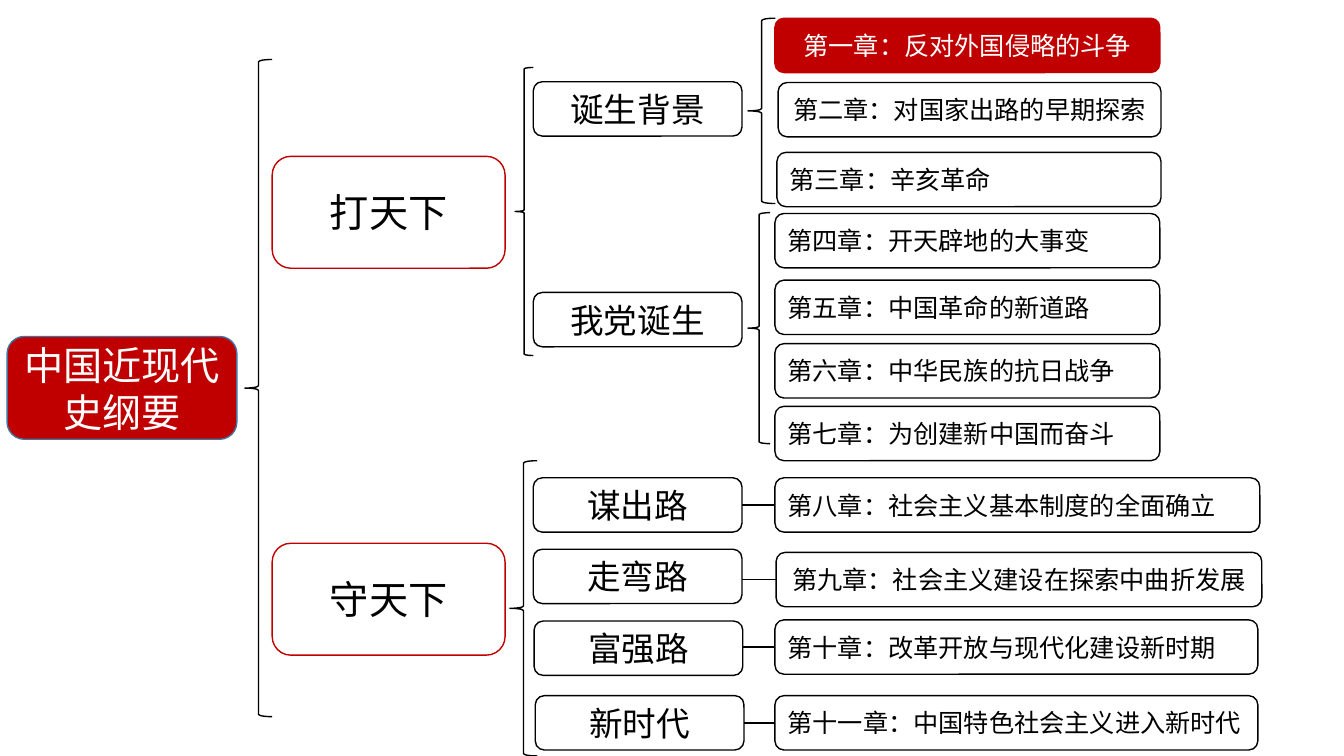
"""Draw the chapter tree of a modern Chinese history course."""
from dataclasses import dataclass

from lxml import etree
from pptx import Presentation
from pptx import util as u
from pptx.dml.color import RGBColor
from pptx.enum import shapes, text
from pptx.oxml.ns import qn
from pptx.shapes.autoshape import Shape
from pptx.slide import Slide

RED = RGBColor(0xC0, 0x00, 0x00)
WHITE = RGBColor(0xFF, 0xFF, 0xFF)
BLACK = RGBColor(0x00, 0x00, 0x00)
BLUE = RGBColor(0x43, 0x73, 0x9E)
FONT = "Noto Sans CJK SC"
CENTER, LEFT = text.PP_ALIGN.CENTER, text.PP_ALIGN.LEFT
ROW_HEIGHT = 1.37


@dataclass(frozen=True)
class Topic:
    """A rounded box of the tree, in centimetres."""
    label: str
    left: float
    top: float
    width: float
    height: float = ROW_HEIGHT
    size: int = 18
    align: text.PP_ALIGN = LEFT
    fill: RGBColor = WHITE
    border: RGBColor = BLACK
    ink: RGBColor = BLACK


@dataclass(frozen=True)
class Brace:
    """A left brace, in centimetres."""
    left: float
    top: float
    width: float
    height: float


def part(label: str, top: float) -> Topic:
    """Describe one of the two main parts."""
    return Topic(label, 6.86, top, 5.87, 2.82, 28, CENTER, border=RED)


def stage(label: str, top: float, left: float = 13.44) -> Topic:
    """Describe a stage within a part."""
    return Topic(label, left, top, 5.26, size=24, align=CENTER)


COURSE = Topic("中国近现代史纲要", 0.18, 8.48, 5.79, 2.59, 28, CENTER, RED, BLUE, WHITE)
PARTS = [part("打天下", 3.94), part("守天下", 13.69)]
EARLY_STAGES = [stage("诞生背景", 2.06), stage("我党诞生", 7.37)]
LATE_STAGES = [
    stage("谋出路", 12.04),
    stage("走弯路", 13.84),
    stage("富强路", 15.65, 13.46),
    stage("新时代", 17.53, 13.49),
]
EARLY_CHAPTERS = [
    Topic("第一章：反对外国侵略的斗争", 19.53, 0.46, 9.7, align=CENTER,
          fill=RED, border=RED, ink=WHITE),
    Topic("第二章：对国家出路的早期探索", 19.61, 2.08, 9.65, align=CENTER),
    Topic("第三章：辛亥革命", 19.58, 3.84, 9.68),
    Topic("第四章：开天辟地的大事变", 19.53, 5.38, 9.7),
    Topic("第五章：中国革命的新道路", 19.53, 7.06, 9.7),
    Topic("第六章：中华民族的抗日战争", 19.53, 8.66, 9.7),
    Topic("第七章：为创建新中国而奋斗", 19.53, 10.24, 9.7),
]
LATE_CHAPTERS = [
    Topic("第八章：社会主义基本制度的全面确立", 19.53, 12.04, 12.22),
    Topic("第九章：社会主义建设在探索中曲折发展", 19.56, 13.92, 12.24, align=CENTER),
    Topic("第十章：改革开放与现代化建设新时期", 19.53, 15.62, 12.17),
    Topic("第十一章：中国特色社会主义进入新时代", 19.53, 17.53, 12.17),
]
BRACES = [
    Brace(6.17, 1.5, 0.69, 16.56),
    Brace(12.98, 1.7, 0.46, 7.26),
    Brace(12.85, 11.61, 0.69, 7.44),
    Brace(18.85, 0.46, 0.69, 4.67),
    Brace(18.85, 5.36, 0.56, 5.82),
]


def add_outline(slide: Slide, kind: shapes.MSO_SHAPE, spot: Topic | Brace,
                border: RGBColor) -> Shape:
    """Add a shadowless preset shape with a thin border."""
    shape = slide.shapes.add_shape(
        kind, u.Cm(spot.left), u.Cm(spot.top), u.Cm(spot.width), u.Cm(spot.height))
    shape.shadow.inherit = False
    shape.line.color.rgb = border
    shape.line.width = u.Pt(1)
    return shape


def draw_brace(slide: Slide, brace: Brace) -> None:
    """Draw an unfilled black brace."""
    add_outline(slide, shapes.MSO_SHAPE.LEFT_BRACE, brace, BLACK).fill.background()


def draw_topic(slide: Slide, topic: Topic) -> None:
    """Draw a rounded box with its label."""
    box = add_outline(slide, shapes.MSO_SHAPE.ROUNDED_RECTANGLE, topic, topic.border)
    box.fill.solid()
    box.fill.fore_color.rgb = topic.fill
    frame = box.text_frame
    for name, value in {"word_wrap": True, "vertical_anchor": text.MSO_ANCHOR.MIDDLE}.items():
        setattr(frame, name, value)
    paragraph = frame.paragraphs[0]
    paragraph.alignment = topic.align
    run = paragraph.add_run()
    run.text = topic.label
    for name, value in {"name": FONT, "size": u.Pt(topic.size)}.items():
        setattr(run.font, name, value)
    run.font.color.rgb = topic.ink
    etree.SubElement(run.font._element, qn("a:ea"), typeface=FONT)


def draw_link(slide: Slide, chapter: Topic, owner: Topic) -> None:
    """Join a chapter to its stage at the chapter's middle."""
    middle = u.Cm(chapter.top + chapter.height / 2)
    link = slide.shapes.add_connector(
        shapes.MSO_CONNECTOR.STRAIGHT, u.Cm(chapter.left), middle,
        u.Cm(owner.left + owner.width), middle)
    link.line.color.rgb = BLACK
    link.line.width = u.Pt(1)
    etree.SubElement(link._element.spPr, qn("a:effectLst"))


def main() -> None:
    """Build and save the slide."""
    deck = Presentation()
    deck.slide_width, deck.slide_height = u.Cm(33.87), u.Cm(19.05)
    slide = deck.slides.add_slide(deck.slide_layouts[6])
    for brace in BRACES:
        draw_brace(slide, brace)
    for topic in [COURSE, *PARTS, *EARLY_STAGES, *LATE_STAGES, *EARLY_CHAPTERS, *LATE_CHAPTERS]:
        draw_topic(slide, topic)
    for chapter, owner in zip(LATE_CHAPTERS, LATE_STAGES):
        draw_link(slide, chapter, owner)
    deck.save("out.pptx")


if __name__ == "__main__":
    main()
